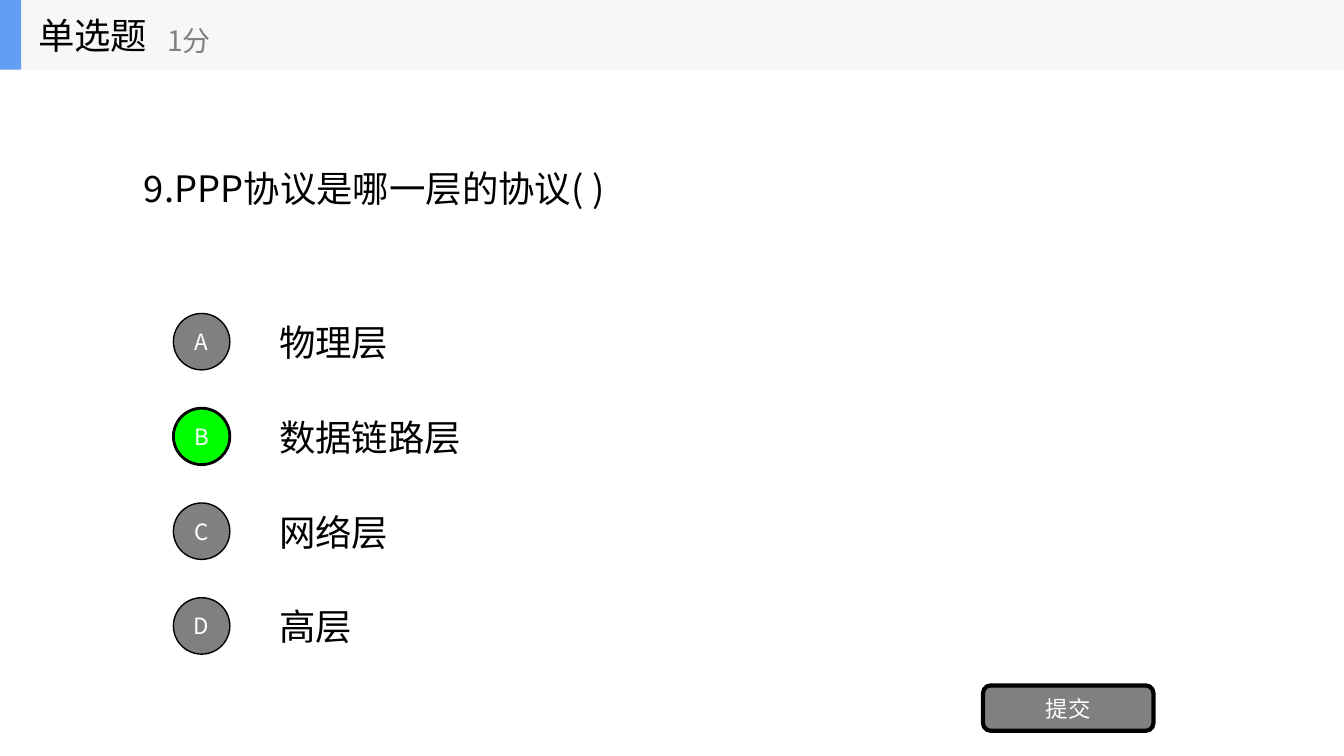
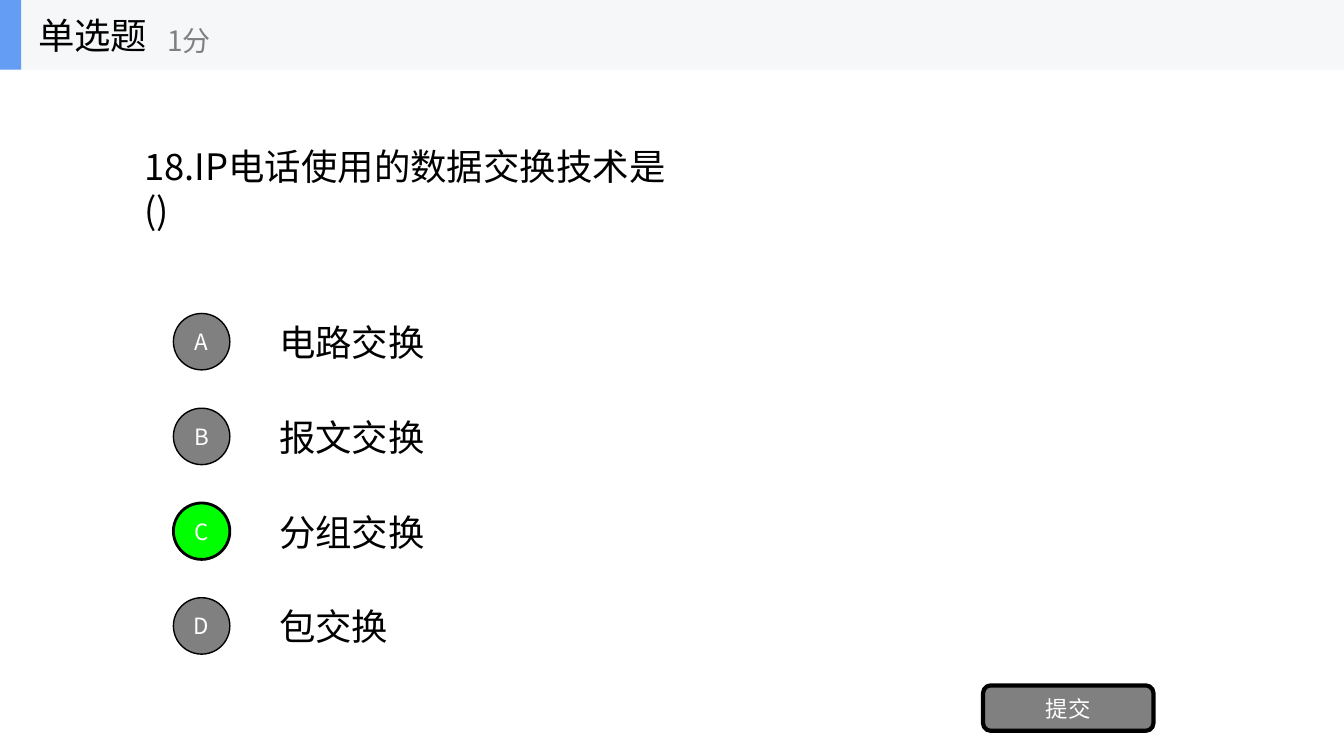
from lxml import etree
from pptx import Presentation
from pptx.dml.color import RGBColor
from pptx.enum.shapes import MSO_SHAPE
from pptx.enum.text import MSO_ANCHOR, MSO_AUTO_SIZE, PP_ALIGN
from pptx.oxml.ns import qn
from pptx.util import Inches, Pt

RECT, ROUND, OVAL = MSO_SHAPE.RECTANGLE, MSO_SHAPE.ROUNDED_RECTANGLE, MSO_SHAPE.OVAL
MIDDLE, CENTER = MSO_ANCHOR.MIDDLE, PP_ALIGN.CENTER
GROW = MSO_AUTO_SIZE.SHAPE_TO_FIT_TEXT

# Content
HEAD, SCORE, SUBMIT = "单选题", "1分", "提交"
QUIZ = [
    {"ask": "9.PPP协议是哪一层的协议( )", "width": 4.87, "answer": "B",
     "options": ["物理层", "数据链路层", "网络层", "高层"]},
    {"ask": "18.IP电话使用的数据交换技术是()", "width": 5.61, "answer": "C",
     "options": ["电路交换", "报文交换", "分组交换", "包交换"]},
]

# Style
FONT = "Noto Sans CJK SC"
BLACK, WHITE, GREY, GREEN = "000000", "FFFFFF", "808080", "00FF00"
BAND, BLUE = "F6F7F8", "639EF4"
BIG, MID, SMALL = 26, 20, 16

# Layout in inches
WIDE, HIGH = 13.33, 7.5
BAR = 0.69
TOP, STEP, DOT = 3.11, 0.94, 0.56
LINE, GLYPH, PAD = 0.53, 0.36, 0.2


def color(code):
    return RGBColor.from_string(code)


def write(shape, text, size, ink):
    frame = shape.text_frame
    frame.text = text
    frame.vertical_anchor = MIDDLE
    for run in frame.paragraphs[0].runs:
        font = run.font
        font.name, font.size = FONT, Pt(size)
        font.color.rgb = color(ink)
        east = etree.SubElement(font._element, qn("a:ea"))
        east.set("typeface", FONT)
    return frame


def label(shapes, box, text, size, ink=BLACK, grow=False):
    frame = write(shapes.add_textbox(*map(Inches, box)), text, size, ink)
    frame.word_wrap = grow
    if grow:
        frame.auto_size = GROW


def block(shapes, kind, box, fill, line=0, text=""):
    shape = shapes.add_shape(kind, *map(Inches, box))
    shape.shadow.inherit = False
    shape.fill.solid()
    shape.fill.fore_color.rgb = color(fill)
    if line:
        shape.line.color.rgb = color(BLACK)
        shape.line.width = Pt(line)
    else:
        shape.line.fill.background()
    if text:
        frame = write(shape, text, SMALL, WHITE)
        frame.paragraphs[0].alignment = CENTER


def header(slide):
    shapes = slide.shapes.add_group_shape().shapes
    block(shapes, RECT, (0, 0, WIDE, BAR), BAND)
    block(shapes, RECT, (0, 0, 0.21, BAR), BLUE)
    label(shapes, (0.28, 0, 2.08, BAR), HEAD, BIG)
    label(shapes, (1.56, 0.12, 2.5, 0.56), SCORE, MID, GREY)


def build(slide, quiz):
    shapes = slide.shapes
    label(shapes, (1.33, 1.6, quiz["width"], LINE), quiz["ask"], BIG, grow=True)

    # Options, the right one in green
    for row, (key, text) in enumerate(zip("ABCD", quiz["options"])):
        top = TOP + row * STEP
        width = PAD + GLYPH * len(text) + 0.01
        label(shapes, (2.67, top + 0.02, width, LINE), text, BIG, grow=True)
        fill, line = (GREEN, 2) if key == quiz["answer"] else (GREY, 1)
        block(shapes, OVAL, (1.72, top, DOT, DOT), fill, line, key)

    # Button and header band
    block(shapes, ROUND, (9.75, 6.8, 1.69, 0.45), GREY, 3, SUBMIT)
    header(slide)


def main():
    deck = Presentation()
    deck.slide_width, deck.slide_height = Inches(WIDE), Inches(HIGH)
    blank = deck.slide_layouts[6]
    for quiz in QUIZ:
        build(deck.slides.add_slide(blank), quiz)
    deck.save("out.pptx")


if __name__ == "__main__":
    main()
